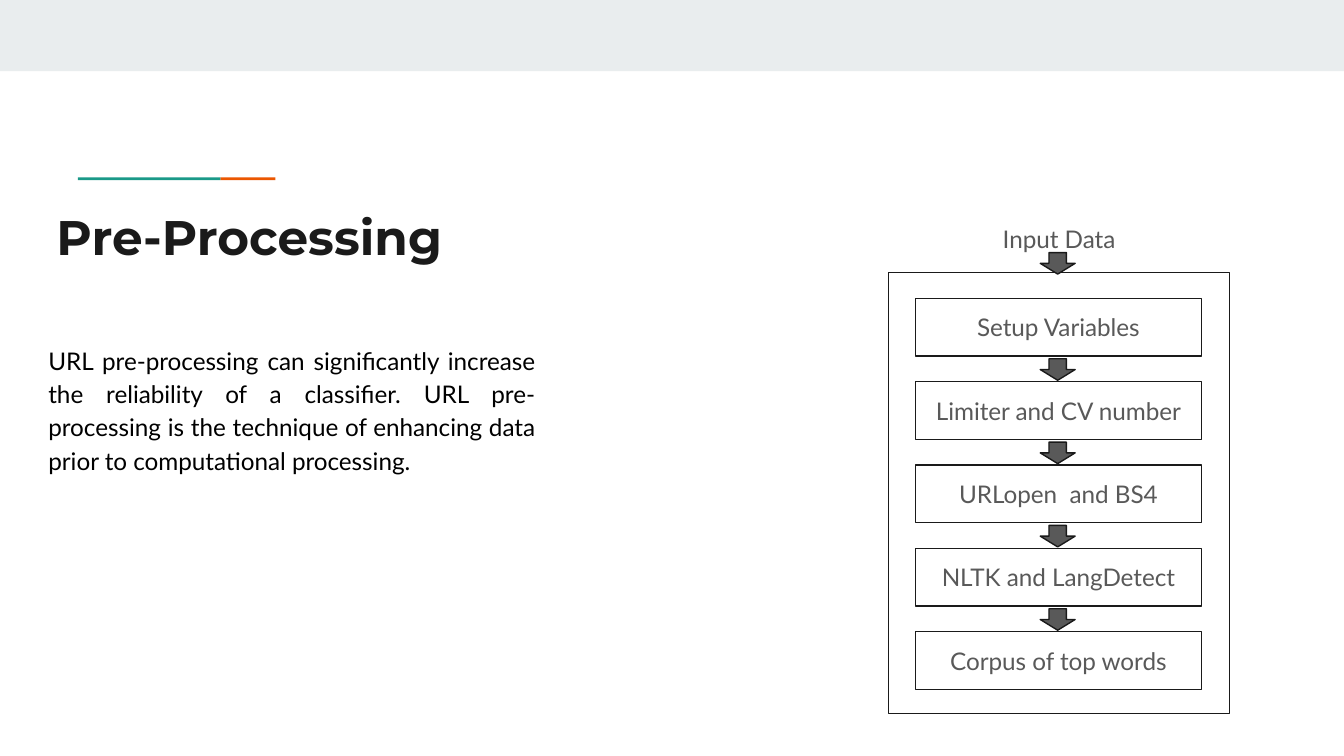
import pptx
import pptx.dml.color
import pptx.enum.shapes
import pptx.enum.text
import pptx.oxml.ns
import pptx.util
from dataclasses import dataclass
from lxml import etree

Inches = pptx.util.Inches
Pt = pptx.util.Pt
Shapes = pptx.enum.shapes.MSO_SHAPE
Align = pptx.enum.text.PP_ALIGN
Anchor = pptx.enum.text.MSO_ANCHOR

COLORS = {"band": "E9EDEE", "orange": "EB5600", "teal": "1A9988", "ink": "1A1A1A",
          "gray": "595959", "white": "FFFFFF", "black": "000000"}


@dataclass
class Area:
    left: float
    top: float
    width: float
    height: float

    def lengths(self):
        return [Inches(v) for v in (self.left, self.top, self.width, self.height)]


@dataclass
class TextStyle:
    size: float = 13
    font: str = "Lato"
    color: str = "gray"
    bold: bool = False
    align: Align = Align.CENTER
    anchor: Anchor = Anchor.TOP
    spacing: float = 1.0


def color_of(name: str):
    return pptx.dml.color.RGBColor.from_string(COLORS[name])


def write(box, text: str, style: TextStyle):
    frame = box.text_frame
    frame.word_wrap = True
    frame.auto_size = pptx.enum.text.MSO_AUTO_SIZE.NONE
    frame.vertical_anchor = style.anchor
    frame.margin_left = frame.margin_right = Inches(0.1)
    frame.margin_top = frame.margin_bottom = Inches(0.1)
    para = frame.paragraphs[0]
    para.alignment = style.align
    para.line_spacing = style.spacing
    para.space_before = Pt(0)
    span = para.add_run()
    span.text = text
    span.font.size = Pt(style.size)
    span.font.name = style.font
    span.font.bold = style.bold
    span.font.color.rgb = color_of(style.color)
    return para


def add_block(page, kind: Shapes, area: Area, fill: str, line: str = ""):
    box = page.shapes.add_shape(kind, *area.lengths())
    box.shadow.inherit = False
    box.fill.solid()
    box.fill.fore_color.rgb = color_of(fill)
    if line:
        box.line.color.rgb = color_of(line)
        box.line.width = Pt(0.75)
    else:
        box.line.fill.background()
    return box


def fill_placeholder(box, area: Area, text: str, style: TextStyle):
    box.left, box.top, box.width, box.height = area.lengths()
    return write(box, text, style)


def add_arrow(page, top: float):
    add_block(page, Shapes.DOWN_ARROW, Area(7.74, top, 0.26, 0.16), "gray", "ink")


# Widescreen page, 16:9
deck = pptx.Presentation()
deck.slide_width = Inches(10)
deck.slide_height = deck.slide_width * 9 // 16
page = deck.slides.add_slide(deck.slide_layouts[1])

# Top band and accent rule
add_block(page, Shapes.RECTANGLE, Area(0, 0, 10, 0.53), "band")
add_block(page, Shapes.RECTANGLE, Area(1.64, 1.32, 0.41, 0.02), "orange")
add_block(page, Shapes.RECTANGLE, Area(0.58, 1.32, 1.06, 0.02), "teal")

# Title and body
fill_placeholder(page.shapes.title, Area(0.32, 1.44, 8.41, 0.59), "Pre-Processing",
                 TextStyle(26, "Montserrat", "ink", True, Align.LEFT))
body_para = fill_placeholder(
    page.placeholders[1], Area(0.26, 2.44, 3.82, 2.69),
    "URL pre-processing can significantly increase the reliability of a classifier. "
    "URL pre-processing is the technique of enhancing data prior to computational processing.",
    TextStyle(color="black", align=Align.JUSTIFY, spacing=1.15))
properties = body_para._p.get_or_add_pPr()
properties.set("marL", "0")
properties.set("indent", "0")
etree.SubElement(properties, pptx.oxml.ns.qn("a:buNone"))

# Pipeline frame and steps
STEPS = ["Setup Variables", "Limiter and CV number", "URLopen  and BS4",
         "NLTK and LangDetect", "Corpus of top words"]
FIRST_TOP, PITCH = 2.22, 0.62
add_block(page, Shapes.RECTANGLE, Area(6.61, 2.03, 2.54, 3.28), "white", "ink")
for index, step in enumerate(STEPS):
    top = FIRST_TOP + index * PITCH
    box = add_block(page, Shapes.RECTANGLE, Area(6.81, top, 2.13, 0.43), "white", "ink")
    write(box, step, TextStyle(anchor=Anchor.MIDDLE))
    if index < len(STEPS) - 1:
        add_arrow(page, top + 0.45)

# Pipeline input
label = page.shapes.add_textbox(*Area(6.61, 1.57, 2.54, 0.33).lengths())
write(label, "Input Data", TextStyle())
add_arrow(page, 1.88)

deck.save("out.pptx")
